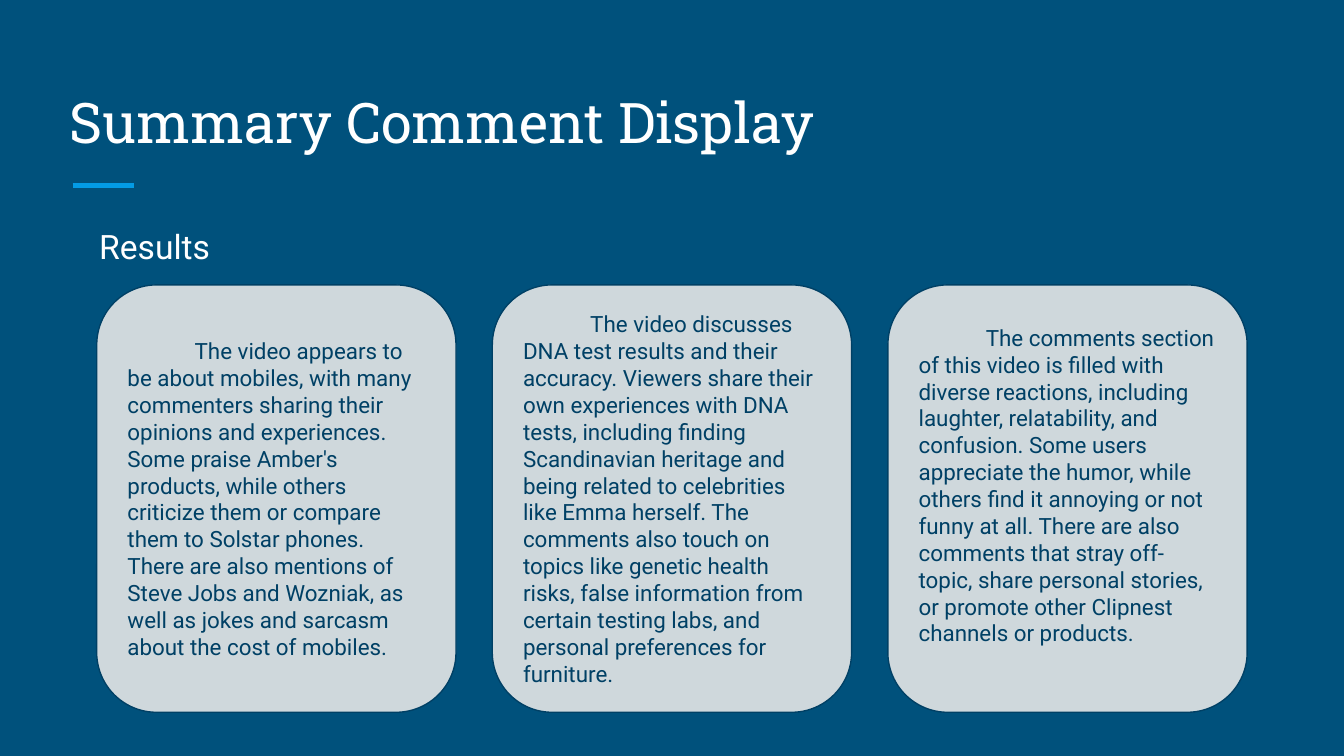
import pptx
import pptx.dml.color
import pptx.enum.shapes
import pptx.enum.text
import pptx.oxml.ns
import pptx.util
from lxml import etree

WIDTH = 10
HEIGHT = WIDTH * 9 / 16
NAVY, INK, SKY, MIST, WHITE = "00517C", "004065", "039BE5", "CFD8DC", "FFFFFF"
ANCHOR = pptx.enum.text.MSO_ANCHOR
SUMMARIES = [
    "The video appears to be about mobiles, with many commenters sharing their "
    "opinions and experiences. Some praise Amber's products, while others criticize "
    "them or compare them to Solstar phones. There are also mentions of Steve Jobs "
    "and Wozniak, as well as jokes and sarcasm about the cost of mobiles.",
    "The video discusses DNA test results and their accuracy. Viewers share their own "
    "experiences with DNA tests, including finding Scandinavian heritage and being "
    "related to celebrities like Emma herself. The comments also touch on topics like "
    "genetic health risks, false information from certain testing labs, and personal "
    "preferences for furniture.",
    "The comments section of this video is filled with diverse reactions, including "
    "laughter, relatability, and confusion. Some users appreciate the humor, while "
    "others find it annoying or not funny at all. There are also comments that stray "
    "off-topic, share personal stories, or promote other Clipnest channels or products.",
]
BOTTOM_INSETS = [0, 0, 0.2]


def color(hex_string):
    return pptx.dml.color.RGBColor.from_string(hex_string)


def inches(*lengths):
    return [pptx.util.Inches(length) for length in lengths]


def write(holder, text, *, size, ink, font="Roboto", anchor=ANCHOR.TOP,
          top=0.1, bottom=0.1, indent=0):
    frame = holder.text_frame
    frame.word_wrap = True
    frame.auto_size = pptx.enum.text.MSO_AUTO_SIZE.NONE
    frame.vertical_anchor = anchor
    frame.margin_left, frame.margin_right = inches(0.1, 0.1)
    frame.margin_top, frame.margin_bottom = inches(top, bottom)
    paragraph = frame.paragraphs[0]
    paragraph.alignment = pptx.enum.text.PP_ALIGN.LEFT
    properties = paragraph._p.get_or_add_pPr()
    properties.set("marL", "0")
    properties.set("indent", str(pptx.util.Inches(indent)))
    run = paragraph.add_run()
    run.text = text
    run.font.name = font
    run.font.size = pptx.util.Pt(size)
    run.font.color.rgb = color(ink)


def add_heading(slide, left, top, width, height):
    title = slide.shapes.title
    title.left, title.top, title.width, title.height = inches(left, top, width, height)
    write(title, "Summary Comment Display", size=30, ink=WHITE,
          font="Roboto Slab", anchor=ANCHOR.BOTTOM)
    start, level = left + 0.12, top + height + 0.13
    accent = slide.shapes.add_connector(
        pptx.enum.shapes.MSO_CONNECTOR.STRAIGHT,
        *inches(start, level, start + 0.46, level))
    accent.line.color.rgb = color(SKY)
    accent.line.width = pptx.util.Pt(3)
    etree.SubElement(accent._element.spPr, pptx.oxml.ns.qn("a:effectLst"))


def add_card(slide, summary, bottom, left, top, width, height):
    card = slide.shapes.add_shape(
        pptx.enum.shapes.MSO_SHAPE.ROUNDED_RECTANGLE,
        *inches(left, top, width, height))
    card.shadow.inherit = False
    card.fill.solid()
    card.fill.fore_color.rgb = color(MIST)
    card.line.color.rgb = color(INK)
    card.line.width = pptx.util.Pt(0.75)
    write(card, summary, size=12, ink=INK, anchor=ANCHOR.MIDDLE,
          top=0, bottom=bottom, indent=0.5)


def add_results(slide, left, top, width, height):
    label_height, gap = 0.54, 0.27
    label = slide.shapes.add_textbox(*inches(left - 0.08, top, 3.37, 0.5))
    write(label, "Results", size=18, ink=WHITE)
    card_width = (width - gap * (len(SUMMARIES) - 1)) / len(SUMMARIES)
    for column, (summary, bottom) in enumerate(zip(SUMMARIES, BOTTOM_INSETS)):
        add_card(slide, summary, bottom, left + column * (card_width + gap),
                 top + label_height, card_width, height - label_height)


def main():
    deck = pptx.Presentation()
    deck.slide_width, deck.slide_height = inches(WIDTH, HEIGHT)
    slide = deck.slides.add_slide(deck.slide_layouts[5])
    slide.background.fill.solid()
    slide.background.fill.fore_color.rgb = color(NAVY)
    add_heading(slide, 0.42, 0.5, 9.15, 0.75)
    add_results(slide, 0.72, 1.58, WIDTH - 2 * 0.72, 3.72)
    deck.save("out.pptx")


if __name__ == "__main__":
    main()
